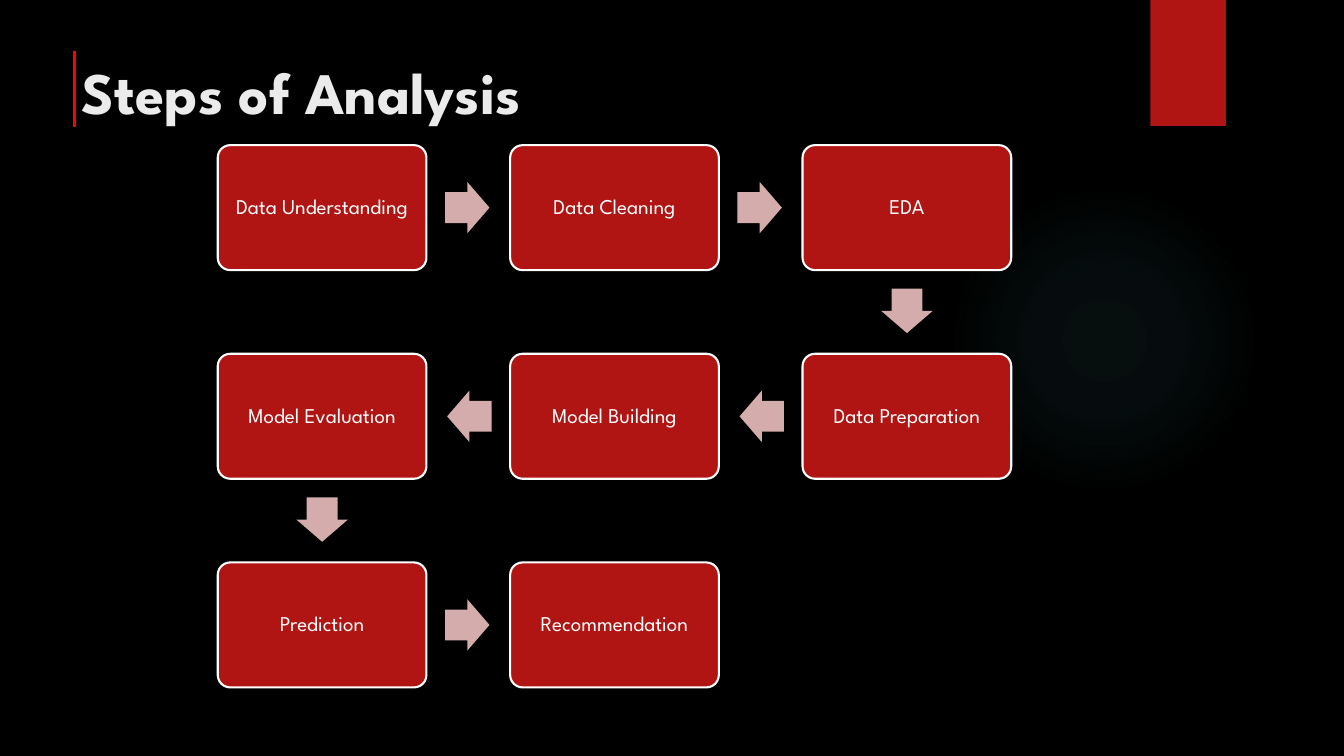
from lxml import etree
from pptx import Presentation
from pptx.dml.color import RGBColor
from pptx.enum.shapes import MSO_SHAPE
from pptx.enum.text import MSO_ANCHOR, PP_ALIGN
from pptx.oxml.ns import qn
from pptx.util import Inches, Pt

FONT = "League Spartan"
RED, PINK, WHITE, BLACK = "B01513", "D4ACAB", "FFFFFF", "000000"
STEPS = ["Data Understanding", "Data Cleaning", "EDA", "Data Preparation",
         "Model Building", "Model Evaluation", "Prediction", "Recommendation"]
COLUMNS = 3
CARD_WIDTH, CARD_HEIGHT = 2.07, 1.24
COLUMN_PITCH, ROW_PITCH = 2.9, 2.07
ARROW_LENGTH, ARROW_BREADTH, ARROW_LAG = 0.44, 0.51, 0.01


def color(value):
    """Turn a hex string into a colour."""
    return RGBColor.from_string(value)


def add_box(page, kind, box, fill, line=None):
    """Add a flat preset shape in box (left, top, width, height)."""
    shape = page.shapes.add_shape(kind, *[Inches(length) for length in box])
    shape.shadow.inherit = False
    shape.fill.solid()
    shape.fill.fore_color.rgb = color(fill)
    if line:
        shape.line.color.rgb = color(line)
        shape.line.width = Pt(1.5)
    else:
        shape.line.fill.background()
    return shape


def write(frame, text, size, ink, inset, bold=False):
    """Write one run into a text frame and return its paragraph."""
    frame.word_wrap = True
    frame.margin_left = frame.margin_right = Inches(inset)
    frame.margin_top = frame.margin_bottom = Inches(0.05)
    para = frame.paragraphs[0]
    span = para.add_run()
    span.text = text
    span.font.name = FONT
    span.font.size = Pt(size)
    span.font.bold = bold
    span.font.color.rgb = color(ink)
    return para


def add_glow(page, box):
    """Add a faint teal circle that fades out towards its rim."""
    glow = add_box(page, MSO_SHAPE.OVAL, box, BLACK)
    gradient = etree.Element(qn("a:gradFill"))
    stops = etree.SubElement(gradient, qn("a:gsLst"))
    for position, opacity in [(0, 7), (36, 6), (69, 0)]:
        stop = etree.SubElement(stops, qn("a:gs"), pos=str(position * 1000))
        tint = etree.SubElement(stop, qn("a:srgbClr"), val="50B9C1")
        etree.SubElement(tint, qn("a:alpha"), val=str(opacity * 1000))
    shade = etree.SubElement(gradient, qn("a:path"), path="circle")
    etree.SubElement(shade, qn("a:fillToRect"), l="50000", t="50000",
                     r="50000", b="50000")
    properties = glow.element.spPr
    properties.replace(properties.find(qn("a:solidFill")), gradient)


def add_title(page, box):
    """Add the heading with a red bar at its left edge."""
    left, top, width, height = box
    heading = page.shapes.add_textbox(*[Inches(length) for length in box])
    heading.text_frame.vertical_anchor = MSO_ANCHOR.TOP
    write(heading.text_frame, "Steps of Analysis", 42, "EBEBEB", 0.1, True)
    add_box(page, MSO_SHAPE.RECTANGLE, (left, top, 0.05, 0.77), "FF0000", BLACK)


def add_card(page, center, label):
    """Add one rounded step card around its center."""
    x, y = center
    box = (x - CARD_WIDTH / 2, y - CARD_HEIGHT / 2, CARD_WIDTH, CARD_HEIGHT)
    card = add_box(page, MSO_SHAPE.ROUNDED_RECTANGLE, box, RED, WHITE)
    card.adjustments[0] = 0.1
    card.text_frame.vertical_anchor = MSO_ANCHOR.MIDDLE
    para = write(card.text_frame, label, 15, WHITE, 0.1)
    para.alignment = PP_ALIGN.CENTER
    para.line_spacing = 0.9


def add_arrow(page, start, end):
    """Add a block arrow midway between two card centers."""
    across = (end[0] > start[0]) - (end[0] < start[0])
    down = int(end[1] > start[1])
    x = (start[0] + end[0]) / 2 - across * ARROW_LAG
    y = (start[1] + end[1]) / 2 - down * ARROW_LAG
    box = (x - ARROW_LENGTH / 2, y - ARROW_BREADTH / 2, ARROW_LENGTH, ARROW_BREADTH)
    arrow = add_box(page, MSO_SHAPE.RIGHT_ARROW, box, PINK)
    arrow.adjustments[0] = 0.6
    arrow.rotation = 90 if down else 180 if across < 0 else 0


def add_flow(page, left, top):
    """Lay the steps out as a snake, with an arrow between neighbours."""
    centers = []
    for index in range(len(STEPS)):
        row, column = divmod(index, COLUMNS)
        if row % 2:
            column = COLUMNS - 1 - column
        centers.append((left + CARD_WIDTH / 2 + column * COLUMN_PITCH,
                        top + CARD_HEIGHT / 2 + row * ROW_PITCH))
    for center, label in zip(centers, STEPS):
        add_card(page, center, label)
    for start, end in zip(centers, centers[1:]):
        add_arrow(page, start, end)


def build_steps_slide(deck):
    """Build the slide that shows the steps of the analysis."""
    page = deck.slides.add_slide(deck.slide_layouts[6])
    page.background.fill.solid()
    page.background.fill.fore_color.rgb = color(BLACK)
    add_glow(page, (9.41, 1.83, 3.08, 3.08))
    add_box(page, MSO_SHAPE.RECTANGLE, (11.41, 0, 0.75, 1.25), RED)
    add_title(page, (0.71, 0.5, 10.29, 1.53))
    add_flow(page, 2.16, 1.44)


deck = Presentation()
deck.slide_width, deck.slide_height = Inches(13.33), Inches(7.5)
build_steps_slide(deck)
deck.save("out.pptx")
